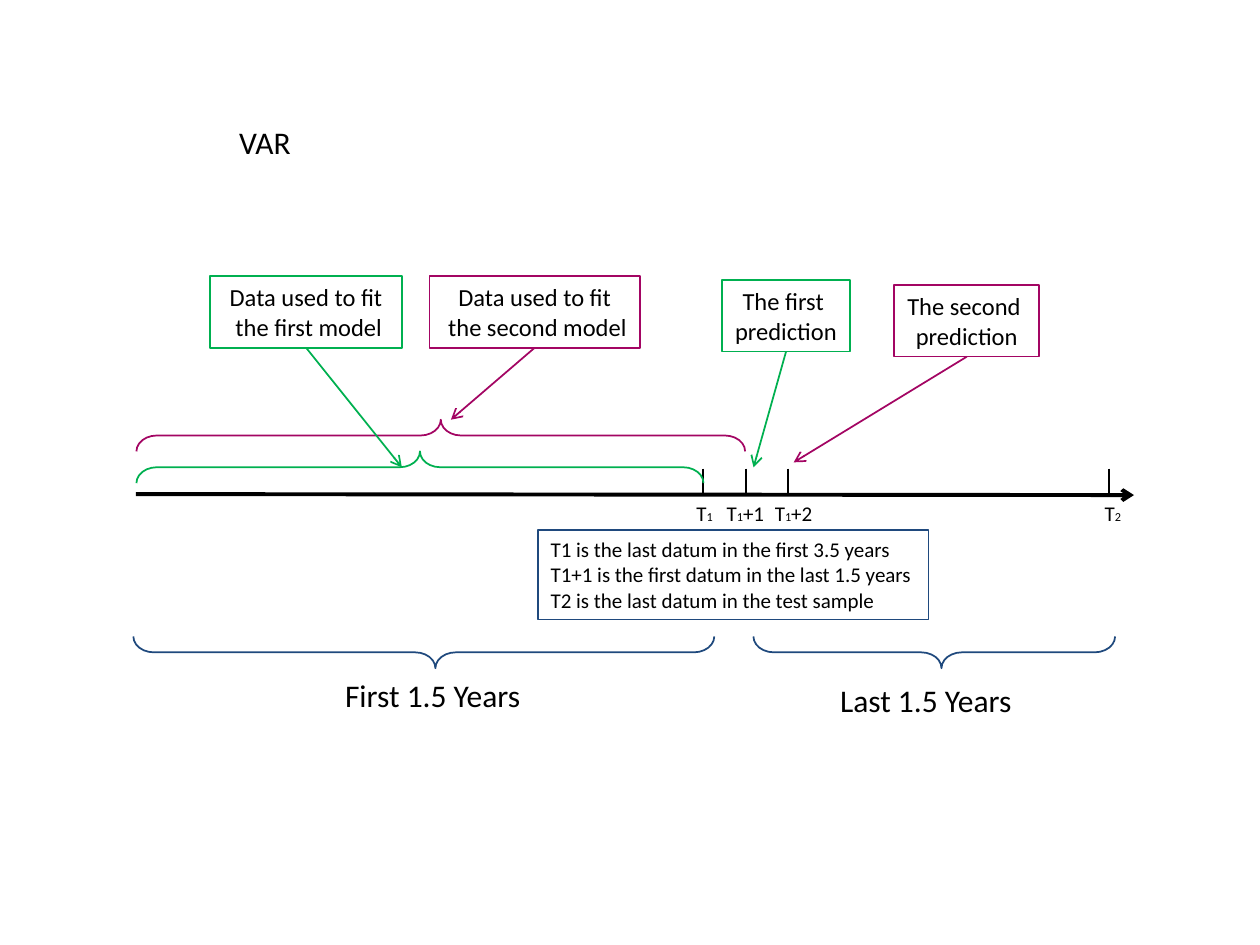
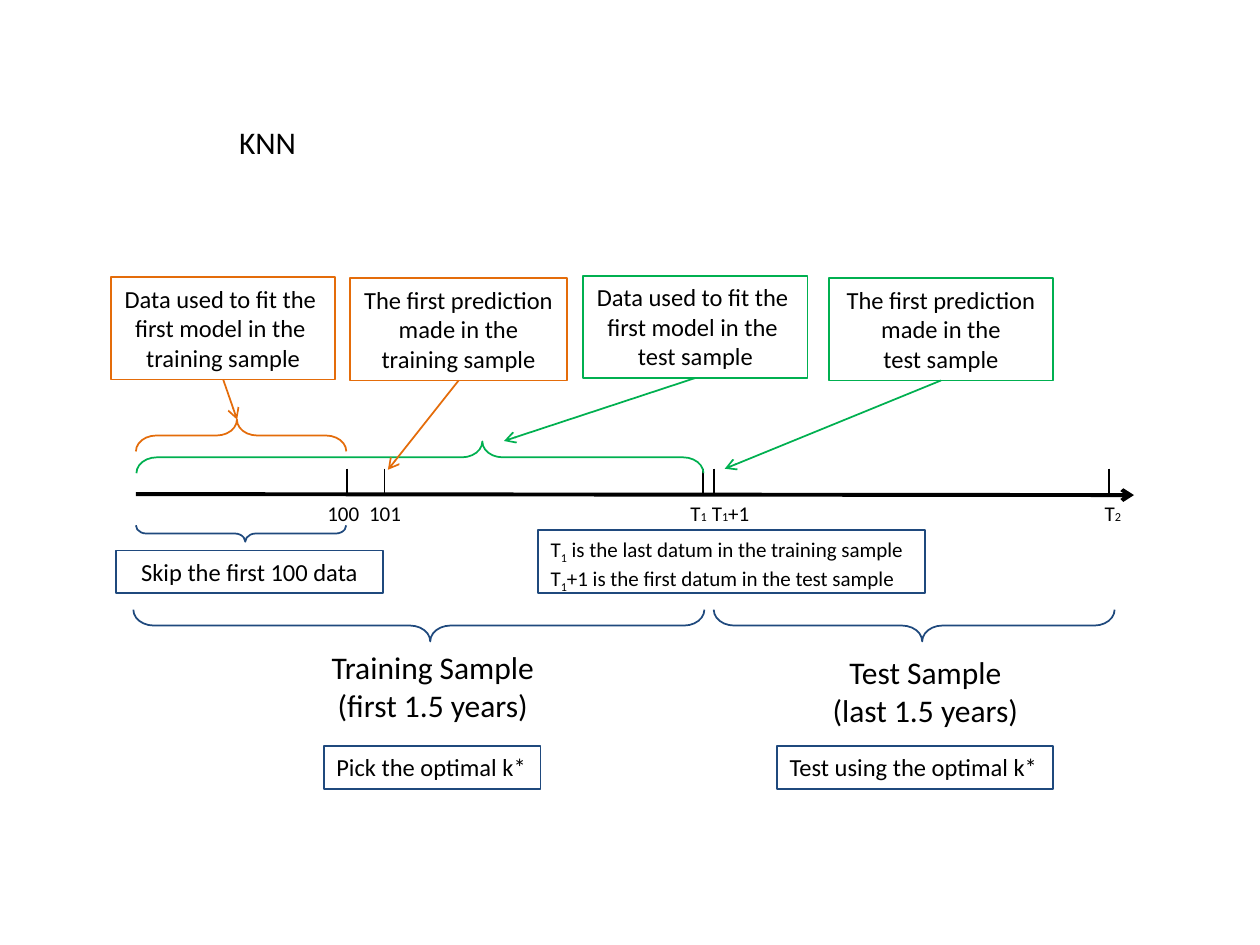
import pptx
import pptx.dml.color
import pptx.enum.shapes
import pptx.enum.text
import pptx.oxml.ns
import pptx.util
from lxml import etree

Cm = pptx.util.Cm
Pt = pptx.util.Pt
RGBColor = pptx.dml.color.RGBColor
Shape = pptx.enum.shapes.MSO_SHAPE
Align = pptx.enum.text.PP_ALIGN

BLACK = RGBColor(0x00, 0x00, 0x00)
BLUE = RGBColor(0x1F, 0x49, 0x7D)
GREEN = RGBColor(0x00, 0xB0, 0x50)
PLUM = RGBColor(0xA3, 0x05, 0x63)
ORANGE = RGBColor(0xE4, 0x6C, 0x0A)

FRAME = {
    "word_wrap": False,
    "auto_size": pptx.enum.text.MSO_AUTO_SIZE.NONE,
    "vertical_anchor": pptx.enum.text.MSO_ANCHOR.TOP,
    "margin_left": Cm(0.25),
    "margin_right": Cm(0.25),
    "margin_top": Cm(0.13),
    "margin_bottom": Cm(0.13),
}
AXIS_Y = 9.96
TICK_TOP = 9.45

# Lengths in cm. Text between underscores is a subscript.
# boxes: text, left, top, width, height, colour, align, size, arrow tip
# braces: left, top, width, depth, colour, place of the point, turn
# ticks: x; labels: text, left, width; heads: text, left, top, width, height
PAGES = [
    {
        "title": "VAR",
        "ticks": [14.17, 15.04, 15.88, 22.35],
        "labels": [("T_1_", 13.79, 0.94), ("T_1_+1", 14.4, 1.27),
                   ("T_1_+2", 15.37, 1.27), ("T_2_", 22.02, 0.84)],
        "braces": [
            (2.69, 12.83, 11.71, 0.64, BLUE, 0.52, 270),
            (15.19, 12.83, 7.29, 0.64, BLUE, 0.52, 270),
            (2.75, 9.1, 11.43, 0.64, GREEN, 0.5, 90),
            (2.75, 8.46, 12.27, 0.64, PLUM, 0.5, 90),
        ],
        "boxes": [
            ("Data used to fit\n the first model", 4.24, 5.56, 3.86, 1.45,
             GREEN, Align.CENTER, 14, (8.1, 9.42)),
            ("Data used to fit\n the second model", 8.66, 5.56, 4.24, 1.45,
             PLUM, Align.CENTER, 14, (9.09, 8.46)),
            ("The first \nprediction", 14.55, 5.64, 2.59, 1.45,
             GREEN, Align.CENTER, 14, (15.19, 9.42)),
            ("The second \nprediction", 18.03, 5.74, 2.92, 1.45,
             PLUM, Align.CENTER, 14, (16, 9.32)),
            ("T1 is the last datum in the first 3.5 years\n"
             "T1+1 is the first datum in the last 1.5 years\n"
             "T2 is the last datum in the test sample",
             10.85, 10.69, 7.87, 1.8, BLUE, Align.LEFT, 12, None),
        ],
        "heads": [("First 1.5 Years", 6.68, 13.49, 4.09, 1.02),
                  ("Last 1.5 Years", 16.66, 13.59, 4.01, 1.02)],
    },
    {
        "title": "KNN",
        "ticks": [6.99, 7.75, 14.17, 14.4, 22.35],
        "labels": [("100", 6.35, 1.27), ("101", 7.19, 1.27),
                   ("T_1_", 13.67, 0.94), ("T_1_+1", 14.1, 1.27),
                   ("T_2_", 22.02, 0.84)],
        "braces": [
            (2.69, 12.29, 11.51, 0.64, BLUE, 0.52, 270),
            (14.39, 12.29, 8.08, 0.64, BLUE, 0.52, 270),
            (2.74, 8.46, 4.24, 0.64, ORANGE, 0.52, 90),
            (2.74, 10.59, 4.24, 0.33, BLUE, 0.52, 270),
            (2.75, 8.9, 11.43, 0.64, GREEN, 0.39, 90),
        ],
        "boxes": [
            ("Data used to fit the \nfirst model in the \ntraining sample",
             2.24, 5.59, 4.52, 2.06, ORANGE, Align.CENTER, 14, (4.78, 8.46)),
            ("The first prediction\n made in the \ntraining sample",
             7.06, 5.61, 4.37, 2.06, ORANGE, Align.CENTER, 14, (7.82, 9.47)),
            ("Data used to fit the \nfirst model in the \ntest sample",
             11.76, 5.56, 4.52, 2.06, GREEN, Align.CENTER, 14, (10.16, 8.89)),
            ("The first prediction\n made in the \ntest sample",
             16.71, 5.61, 4.52, 2.06, GREEN, Align.CENTER, 14, (14.61, 9.45)),
            ("Skip the first 100 data", 2.34, 11.1, 5.38, 0.86,
             BLUE, Align.CENTER, 14, None),
            ("Pick the optimal k*", 6.53, 15.04, 4.37, 0.86,
             BLUE, Align.LEFT, 14, None),
            ("Test using the optimal k*", 15.67, 15.04, 5.56, 0.86,
             BLUE, Align.LEFT, 14, None),
            ("T_1_ is the last datum in the training sample\n"
             "T_1_+1 is the first datum in the test sample",
             10.85, 10.69, 7.8, 1.27, BLUE, Align.LEFT, 12, None),
        ],
        "heads": [("Training Sample\n(first 1.5 years)", 6.4, 12.93, 4.65, 1.8),
                  ("Test Sample\n(last 1.5 years)", 16.51, 13.03, 4.29, 1.8)],
    },
]


def write(shape, text, size, align, small=None):
    """Fill a shape; subscripts take the small size, or else a low baseline."""
    frame = shape.text_frame
    for name, value in FRAME.items():
        setattr(frame, name, value)
    for row, words in enumerate(text.split("\n")):
        para = frame.add_paragraph() if row else frame.paragraphs[0]
        para.alignment = align
        for part, piece in enumerate(words.split("_")):
            if not piece:
                continue
            run = para.add_run()
            run.text = piece
            sub = part % 2
            style = {"name": "Calibri", "size": Pt(small if sub and small else size)}
            for name, value in style.items():
                setattr(run.font, name, value)
            run.font.color.rgb = BLACK
            if sub and not small:
                run.font._element.set("baseline", "-25000")


def draw(slide, start, end, color=BLACK, width=1, arrow=False):
    line = slide.shapes.add_connector(
        pptx.enum.shapes.MSO_CONNECTOR.STRAIGHT, *map(Cm, start + end))
    line.line.color.rgb = color
    line.line.width = Pt(width)
    if arrow:
        tail = etree.SubElement(line.line._get_or_add_ln(),
                                pptx.oxml.ns.qn("a:tailEnd"))
        tail.set("type", "arrow")
    etree.SubElement(line._element.spPr, pptx.oxml.ns.qn("a:effectLst"))
    return line


deck = pptx.Presentation()
deck.slide_width = Cm(25.4)
deck.slide_height = Cm(19.05)

for page in PAGES:
    slide = deck.slides.add_slide(deck.slide_layouts[5])
    title = slide.shapes.title
    place = {"left": 4.57, "top": 2.34, "width": 1.68, "height": 1.02}
    for name, value in place.items():
        setattr(title, name, Cm(value))
    write(title, page["title"], 18, Align.LEFT)

    # Time axis
    draw(slide, (2.74, AXIS_Y), (22.86, AXIS_Y + 0.02), width=2.25, arrow=True)
    for x in page["ticks"]:
        draw(slide, (x, TICK_TOP), (x, AXIS_Y))
    for text, left, width in page["labels"]:
        label = slide.shapes.add_textbox(*map(Cm, (left, AXIS_Y, width, 0.76)))
        write(label, text, 12, Align.LEFT, small=7)

    # A brace is placed upright about its centre, then turned
    for left, top, width, depth, color, point, turn in page["braces"]:
        shift = (width - depth) / 2
        brace = slide.shapes.add_shape(
            Shape.LEFT_BRACE, *map(Cm, (left + shift, top - shift, depth, width)))
        brace.rotation = turn
        brace.adjustments[0] = 0.64
        brace.adjustments[1] = point
        brace.shadow.inherit = False
        brace.fill.background()
        brace.line.color.rgb = color
        brace.line.width = Pt(1)

    for text, left, top, width, height, color, align, size, tip in page["boxes"]:
        box = slide.shapes.add_shape(
            Shape.RECTANGLE, *map(Cm, (left, top, width, height)))
        box.shadow.inherit = False
        box.fill.background()
        box.line.color.rgb = color
        box.line.width = Pt(1)
        write(box, text, size, align)
        if tip:
            foot = (left + width / 2, top + height)
            draw(slide, foot, tip, color, arrow=True).begin_connect(box, 2)

    for text, *area in page["heads"]:
        head = slide.shapes.add_textbox(*map(Cm, area))
        write(head, text, 18, Align.CENTER)

deck.save("out.pptx")
